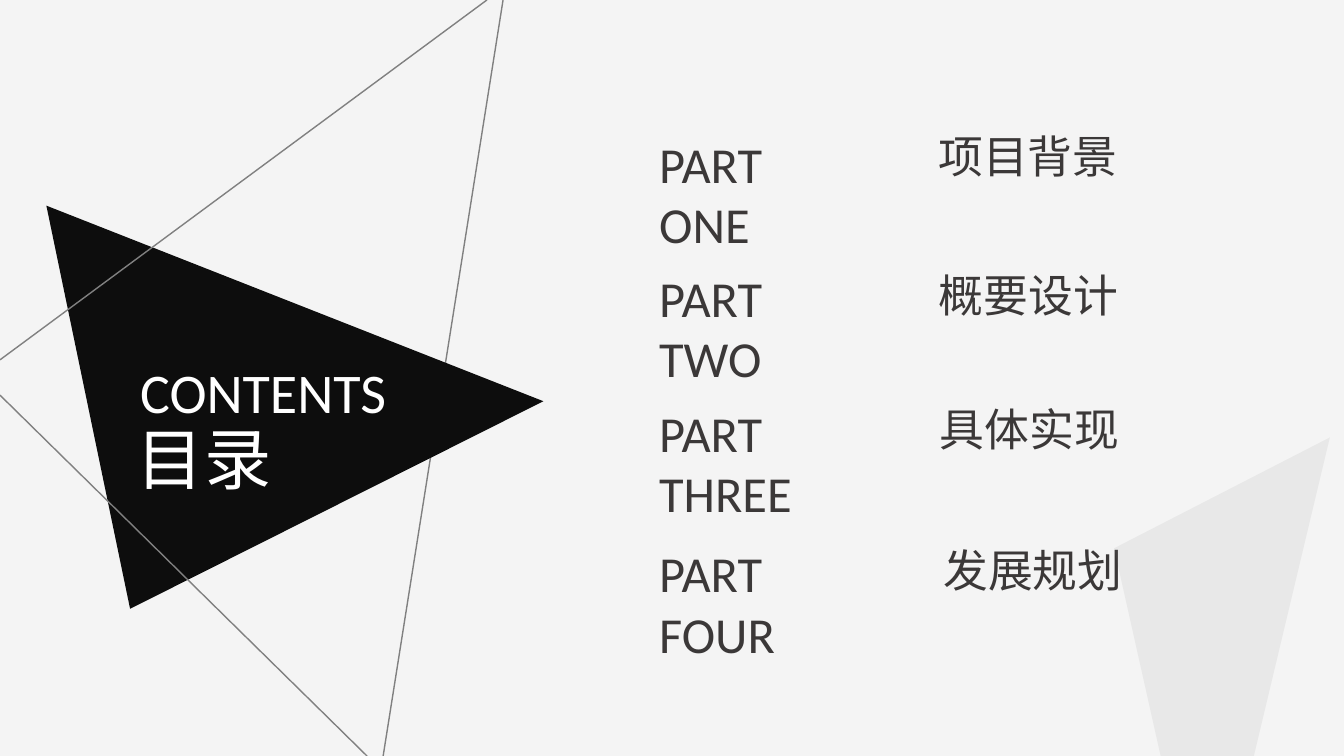
from lxml import etree
from pptx import Presentation
from pptx.dml.color import RGBColor
from pptx.enum.shapes import MSO_CONNECTOR
from pptx.enum.text import MSO_AUTO_SIZE, PP_ALIGN
from pptx.oxml.ns import qn
from pptx.util import Inches, Pt

STRAIGHT = MSO_CONNECTOR.STRAIGHT
GROW = MSO_AUTO_SIZE.SHAPE_TO_FIT_TEXT
LEFT, CENTER = PP_ALIGN.LEFT, PP_ALIGN.CENTER
LATIN, CHINESE = "Calibri", "Noto Sans CJK SC"
COLORS = {"paper": "F4F4F4", "black": "0D0D0D", "gray": "808080",
          "white": "FFFFFF", "ink": "3B3838"}

deck = Presentation()
deck.slide_width, deck.slide_height = Inches(13.33), Inches(7.5)
column, row = deck.slide_width / 100, deck.slide_height / 100
page = deck.slides.add_slide(deck.slide_layouts[6])
page.background.fill.solid()
page.background.fill.fore_color.rgb = RGBColor.from_string(COLORS["paper"])


def add_triangle(points, color):
    corners = [(round(x * column), round(y * row)) for x, y in points]
    builder = page.shapes.build_freeform(*corners[0])
    builder.add_line_segments(corners[1:], close=True)
    triangle = builder.convert_to_shape()
    triangle.shadow.inherit = False
    triangle.fill.solid()
    triangle.fill.fore_color.rgb = RGBColor.from_string(COLORS[color])
    triangle.line.fill.background()
    return triangle


def add_label(text, left, top, width, height, size, font, color, align):
    box = page.shapes.add_textbox(round(left * column), round(top * row),
                                  round(width * column), round(height * row))
    frame = box.text_frame
    frame.word_wrap = True
    frame.auto_size = GROW
    para = frame.paragraphs[0]
    para.alignment = align
    span = para.add_run()
    span.text = text
    for name, value in {"size": Pt(size), "name": font}.items():
        setattr(span.font, name, value)
    span.font.color.rgb = RGBColor.from_string(COLORS[color])
    east_asian = etree.SubElement(span.font._element, qn("a:ea"))
    east_asian.set("typeface", font)
    return frame


edges = [
    (37.43, 0, 28.51, 100),
    (0, 47.6, 36.23, 0),
    (0, 52.27, 27.31, 100),
]
for index, (x1, y1, x2, y2) in enumerate(edges):
    edge = page.shapes.add_connector(STRAIGHT, round(x1 * column), round(y1 * row),
                                     round(x2 * column), round(y2 * row))
    edge.line.color.rgb = RGBColor.from_string(COLORS["gray"])
    edge.line.width = Pt(1)
    etree.SubElement(edge._element.spPr, qn("a:effectLst"))
    if index == 0:
        add_triangle([(40.43, 53.07), (9.68, 80.53), (3.45, 27.2)], "black")

add_label("目录", 9.45, 54.53, 17.85, 12.13, 48, CHINESE, "white", LEFT)
add_label("CONTENTS", 8.63, 46.67, 21.91, 10.27, 40, LATIN, "white", CENTER)

parts = [
    ("PART ONE", 16.93, 16.65, "项目背景", 68.57, 16.4, 15.83),
    ("PART TWO", 34.67, 17.55, "概要设计", 68.72, 34.8, 15.6),
    ("PART THREE", 52.53, 19.8, "具体实现", 68.57, 52.53, 16.05),
    ("PART FOUR", 71.07, 18.53, "发展规划", 69.24, 71.07, 15.23),
]
for number, top, width, title, title_left, title_top, title_width in parts:
    frame = add_label(number, 48.31, top, width, 9.47, 36, LATIN, "ink", LEFT)
    frame.margin_right = round(4.5 * column)
    add_label(title, title_left, title_top, title_width, 8.53, 32, CHINESE, "ink", CENTER)

pale = add_triangle([(98.95, 57.87), (82.9, 72.53), (89.72, 126.67)], "gray")
fill_color = pale._element.spPr.find(qn("a:solidFill"))[0]
etree.SubElement(fill_color, qn("a:alpha")).set("val", "10000")

deck.save("out.pptx")
